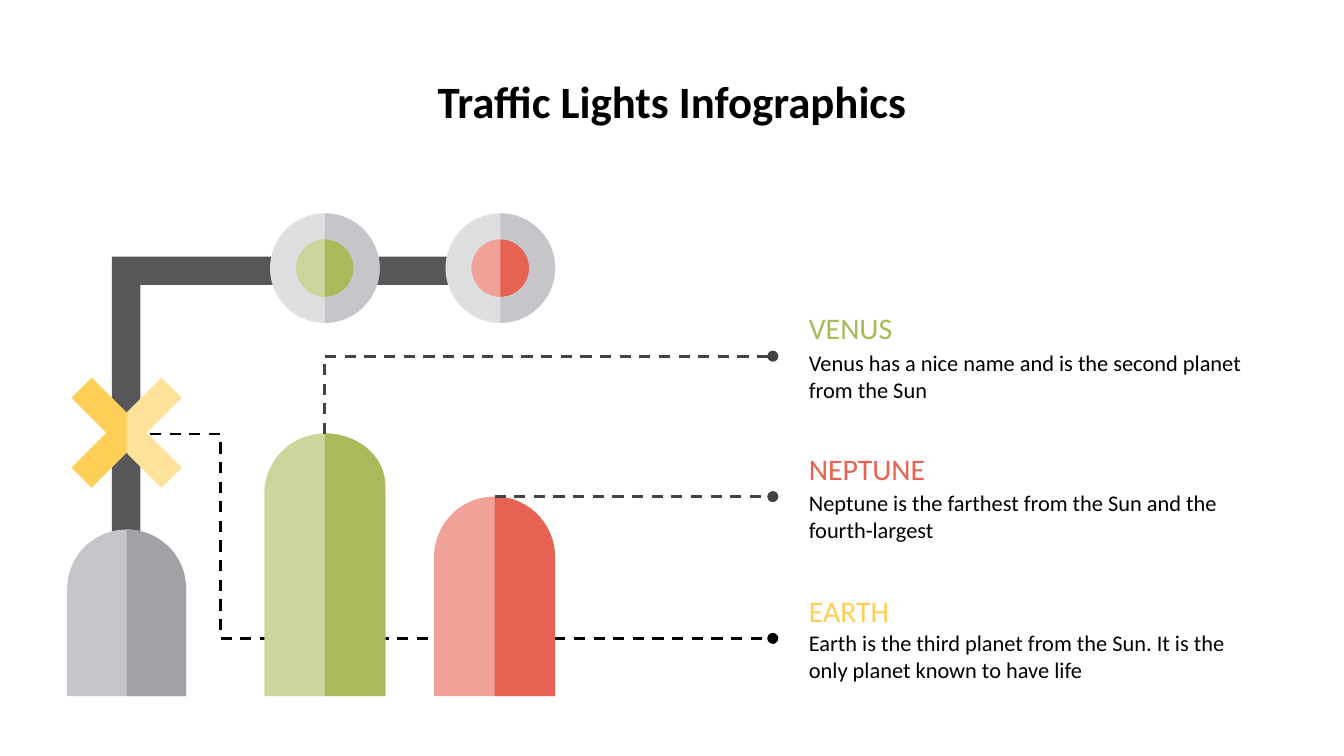
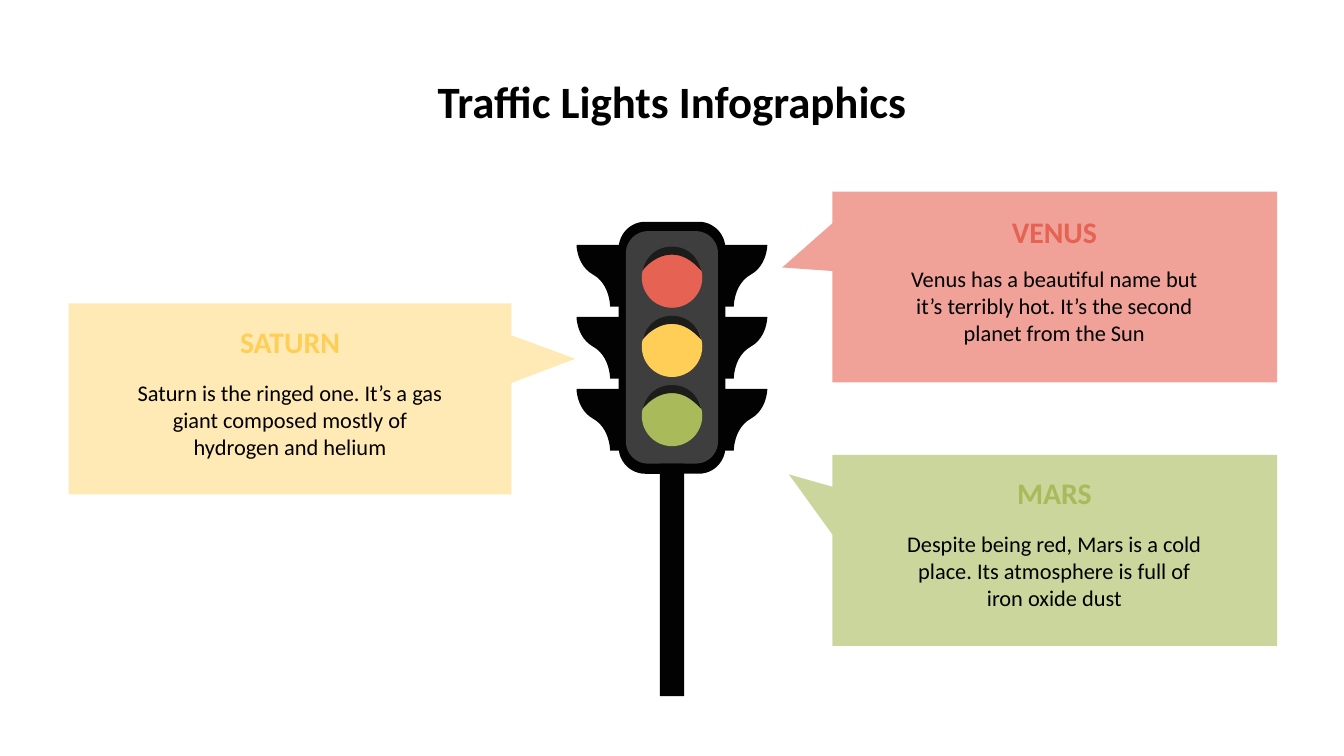
from dataclasses import dataclass
from math import cos, radians, sin

from lxml import etree
from pptx import Presentation
from pptx.dml.color import RGBColor
from pptx.enum.dml import MSO_LINE
from pptx.enum.shapes import MSO_CONNECTOR, MSO_SHAPE
from pptx.enum.text import MSO_ANCHOR, PP_ALIGN
from pptx.oxml.ns import qn
from pptx.util import Emu, Inches, Pt

RECT, OVAL, DONUT = MSO_SHAPE.RECTANGLE, MSO_SHAPE.OVAL, MSO_SHAPE.DONUT
ROUNDED = MSO_SHAPE.ROUNDED_RECTANGLE
DOME = MSO_SHAPE.ROUND_2_SAME_RECTANGLE
CALLOUT = MSO_SHAPE.ROUNDED_RECTANGULAR_CALLOUT
STRAIGHT, ELBOW = MSO_CONNECTOR.STRAIGHT, MSO_CONNECTOR.ELBOW
LEFT, CENTER = PP_ALIGN.LEFT, PP_ALIGN.CENTER
TOP, MIDDLE = MSO_ANCHOR.TOP, MSO_ANCHOR.MIDDLE
DASH = MSO_LINE.DASH

# The slide is 16:9; its grid has 100 columns of square cells
WIDTH = Inches(10)
HEIGHT = Emu(WIDTH * 9 // 16)
COLUMNS = 100
GROUND = 51.8


@dataclass(frozen=True)
class Theme:
    font: str = "Calibri"
    title: int = 24
    heading: int = 16
    body: int = 12
    line: float = 1.5
    inset: float = 0.1
    ink: str = "000000"
    dark_line: str = "434343"
    pole: str = "57575A"
    pale_grey: str = "DFDEE0"
    light_grey: str = "C6C5C9"
    mid_grey: str = "A2A1A6"
    housing: str = "020202"
    panel: str = "3E3E3E"
    shade: str = "1C1C1B"
    red: str = "E66353"
    light_red: str = "F0A198"
    green: str = "A9BA5A"
    light_green: str = "CBD69C"
    yellow: str = "FFCE56"
    light_yellow: str = "FFE29A"
    pale_yellow: str = "FFEAB5"


def arc(cx, cy, rx, ry, start, end, steps=24):
    """Points on an ellipse; angles in degrees, clockwise from the right."""
    angles = [radians(start + (end - start) * i / steps) for i in range(steps + 1)]
    return [(cx + rx * cos(a), cy + ry * sin(a)) for a in angles]


def bezier(p0, p1, p2, p3, steps=12):
    """Points on a cubic curve."""
    points = []
    for i in range(steps + 1):
        t = i / steps
        weights = (1 - t) ** 3, 3 * t * (1 - t) ** 2, 3 * t * t * (1 - t), t ** 3
        points.append(tuple(sum(w * p[axis] for w, p in zip(weights, (p0, p1, p2, p3)))
                            for axis in (0, 1)))
    return points


class Deck:
    def __init__(self, theme):
        self.theme = theme
        self.prs = Presentation()
        self.prs.slide_width, self.prs.slide_height = WIDTH, HEIGHT
        self.cell = WIDTH / COLUMNS
        self.s = None

    def emu(self, *cells):
        return [Emu(round(c * self.cell)) for c in cells]

    def slide(self, title):
        self.s = self.prs.slides.add_slide(self.prs.slide_layouts[6])
        self.text(title, 5, 4.5, 90, 4.4, self.theme.title, bold=True,
                  align=CENTER, anchor=TOP)

    def text(self, text, x, y, w, h, size, color=None, bold=False,
             align=LEFT, anchor=MIDDLE):
        tf = self.s.shapes.add_textbox(*self.emu(x, y, w, h)).text_frame
        tf.word_wrap, tf.vertical_anchor = True, anchor
        inset = Inches(self.theme.inset)
        tf.margin_left = tf.margin_right = tf.margin_top = tf.margin_bottom = inset
        tf.text = text
        p = tf.paragraphs[0]
        p.alignment = align
        font = p.runs[0].font
        font.name, font.size, font.bold = self.theme.font, Pt(size), bold
        font.color.rgb = RGBColor.from_string(color or self.theme.ink)

    def paint(self, sp, color):
        sp.shadow.inherit = False
        sp.fill.solid()
        sp.fill.fore_color.rgb = RGBColor.from_string(color)
        sp.line.fill.background()

    def shape(self, kind, x, y, w, h, color, *adjustments):
        sp = self.s.shapes.add_shape(kind, *self.emu(x, y, w, h))
        for i, value in enumerate(adjustments):
            sp.adjustments[i] = value
        self.paint(sp, color)

    def freeform(self, points, close=True):
        points = [self.emu(*point) for point in points]
        builder = self.s.shapes.build_freeform(*points[0])
        builder.add_line_segments(points[1:], close=close)
        return builder.convert_to_shape()

    def outline(self, points, color):
        self.paint(self.freeform(points), color)

    def dashed(self, sp, color):
        """Dashed line that ends in a dot."""
        sp.line.color.rgb = RGBColor.from_string(color)
        sp.line.width, sp.line.dash_style = Pt(self.theme.line), DASH
        etree.SubElement(sp.line._ln, qn("a:tailEnd"), type="oval")

    def connector(self, x1, y1, x2, y2, color, bend=None):
        kind = STRAIGHT if bend is None else ELBOW
        sp = self.s.shapes.add_connector(kind, *self.emu(x1, y1, x2, y2))
        self.dashed(sp, color)
        sp_pr = sp._element.spPr
        etree.SubElement(sp_pr, qn("a:effectLst"))
        if bend is not None:
            etree.SubElement(sp_pr.find(".//" + qn("a:avLst")), qn("a:gd"),
                             name="adj1", fmla=f"val {round(bend * 100000)}")

    def route(self, points, color):
        sp = self.freeform(points, close=False)
        sp.shadow.inherit = False
        sp.fill.background()
        self.dashed(sp, color)

    def column(self, x, top, w, light, dark, rise):
        """Domed column whose right half is darker."""
        self.shape(DOME, x, top, w, GROUND - top, light, 0.5, 0)
        cx = x + w / 2
        curve = arc(cx, top + rise, w / 2, rise, -90, 0)
        self.outline(curve + [(x + w, GROUND), (cx, GROUND)], dark)

    def round_light(self, cx, cy, light, dark):
        disc, ring, hole = 3.1, 4.08, 2.15
        self.shape(OVAL, cx - disc, cy - disc, 2 * disc, 2 * disc, light)
        self.outline(arc(cx, cy, disc, disc, -90, 90), dark)
        self.shape(DONUT, cx - ring, cy - ring, 2 * ring, 2 * ring,
                   self.theme.pale_grey, (ring - hole) / (2 * ring))
        self.outline(arc(cx, cy, ring, ring, -90, 90) + arc(cx, cy, hole, hole, 90, -90),
                     self.theme.light_grey)

    def lamp(self, cy, color):
        """Signal lamp with a shaded upper edge."""
        cx, r = 50, 2.25
        self.shape(OVAL, cx - r, cy - r, 2 * r, 2 * r, color)
        crown, brim = (cx, cy - 2.3), (cx, cy - 1.7)
        left, right = (cx - 2.2, cy - 0.5), (cx + 2.2, cy - 0.5)
        self.outline(
            bezier(crown, (cx - 1, cy - 2.3), (cx - 1.9, cy - 1.7), left)
            + bezier(left, (cx - 1.9, cy - 0.9), (cx - 1.1, cy - 1.7), brim)
            + bezier(brim, (cx + 1.1, cy - 1.7), (cx + 1.8, cy - 0.9), right)
            + bezier(right, (cx + 1.9, cy - 1.7), (cx + 1, cy - 2.3), crown),
            self.theme.shade)

    def visor(self, top, side):
        foot, waist, tip = (4.6, 4.6), (5.9, 2.2), (7.1, 0)
        points = ([(3.8, 0), (3.8, 4.6)]
                  + bezier(foot, (4.6, 4.6), (4.6, 2.9), waist)
                  + bezier(waist, (7.1, 1.5), (7.1, 0), tip))
        self.outline([(50 + side * x, top + y) for x, y in points], self.theme.housing)

    def callout(self, x, y, w, h, tip, color):
        self.shape(CALLOUT, x, y, w, h, color,
                   (tip[0] - x) / w - 0.5, (tip[1] - y) / h - 0.5, 0)


def planets_by_barrier(deck):
    t = deck.theme
    deck.slide("Traffic Lights Infographics")
    deck.connector(9.7, 32.3, 57.5, 47.5, t.ink, bend=0.14)

    # Pole and its foot
    deck.outline([(8.33, 19.1), (8.33, 41.7), (10.45, 41.7),
                  (10.45, 21.2), (36.7, 21.2), (36.7, 19.1)], t.pole)
    deck.column(5, 39.4, 8.85, t.light_grey, t.mid_grey, rise=4.4)

    # Lights on the arm
    deck.round_light(37.23, 19.95, t.light_red, t.red)
    deck.round_light(24.17, 19.95, t.light_green, t.green)

    # Crossing sign; the left half reaches under the right one
    for side, color in ((-1, t.yellow), (1, t.light_yellow)):
        half_cross = [(2.6, -4.1), (0, -1.5), (0.4 * min(side, 0), 0), (0, 1.5),
                      (2.6, 4.1), (4.1, 2.6), (1.5, 0), (4.1, -2.6)]
        deck.outline([(9.42 + side * x, 32.2 + y) for x, y in half_cross], color)

    # Columns and their leader lines
    deck.column(19.67, 32.25, 9, t.light_green, t.green, rise=3.85)
    deck.column(32.3, 36.95, 9, t.light_red, t.red, rise=4.5)
    deck.route([(24.15, 32.3), (24.15, 26.5), (57.5, 26.5)], t.dark_line)
    deck.connector(36.8, 36.95, 57.5, 36.95, t.dark_line)

    # Descriptions
    planets = [
        ("VENUS", t.green, "Venus has a nice name and is the second planet from the Sun"),
        ("NEPTUNE", t.red, "Neptune is the farthest from the Sun and the fourth-largest"),
        ("EARTH", t.yellow, "Earth is the third planet from the Sun. It is the only "
                            "planet known to have life"),
    ]
    for i, (name, color, about) in enumerate(planets):
        deck.text(name, 59.2, 23 + 10.5 * i, 21.5, 2.8, t.heading, color)
        deck.text(about, 59.2, 26 + 10.42 * i, 34.2, 4, t.body)


def planets_by_signal(deck):
    t = deck.theme
    deck.slide("Traffic Lights Infographics")

    # Traffic light
    deck.shape(ROUNDED, 46.03, 16.5, 7.94, 18.75, t.housing, 0.25)
    deck.shape(ROUNDED, 46.57, 17.2, 6.86, 17.3, t.panel, 0.24)
    for i, color in enumerate((t.red, t.yellow, t.green)):
        deck.lamp(20.65 + 5.15 * i, color)
    deck.shape(RECT, 49.1, 34.5, 1.8, GROUND - 34.5, t.housing)
    for i in range(3):
        for side in (1, -1):
            deck.visor(18.22 + 5.36 * i, side)

    # Callouts: box, tip, text column, heading row, body row
    callouts = [
        ("VENUS", t.red, t.light_red, (61.93, 14.25, 33.1, 14.2), (58.2, 19.9),
         66, 15.7, 18.5,
         "Venus has a beautiful name but it’s terribly hot. It’s the second planet "
         "from the Sun"),
        ("MARS", t.green, t.light_green, (61.93, 33.85, 33.1, 14.2), (58.7, 35.3),
         66, 35.17, 38.2,
         "Despite being red, Mars is a cold place. Its atmosphere is full of iron "
         "oxide dust"),
        ("SATURN", t.yellow, t.pale_yellow, (5.1, 22.58, 32.95, 14.2), (42.8, 26.7),
         9.13, 23.93, 26.95,
         "Saturn is the ringed one. It’s a gas giant composed mostly of hydrogen "
         "and helium"),
    ]
    for name, color, fill, box, tip, x, heading_y, body_y, about in callouts:
        deck.callout(*box, tip, fill)
        deck.text(name, x, heading_y, 24.9, 3, t.heading, color, bold=True, align=CENTER)
        deck.text(about, x, body_y, 24.9, 8.5, t.body, align=CENTER)


def main():
    deck = Deck(Theme())
    planets_by_barrier(deck)
    planets_by_signal(deck)
    deck.prs.save("out.pptx")


if __name__ == "__main__":
    main()
